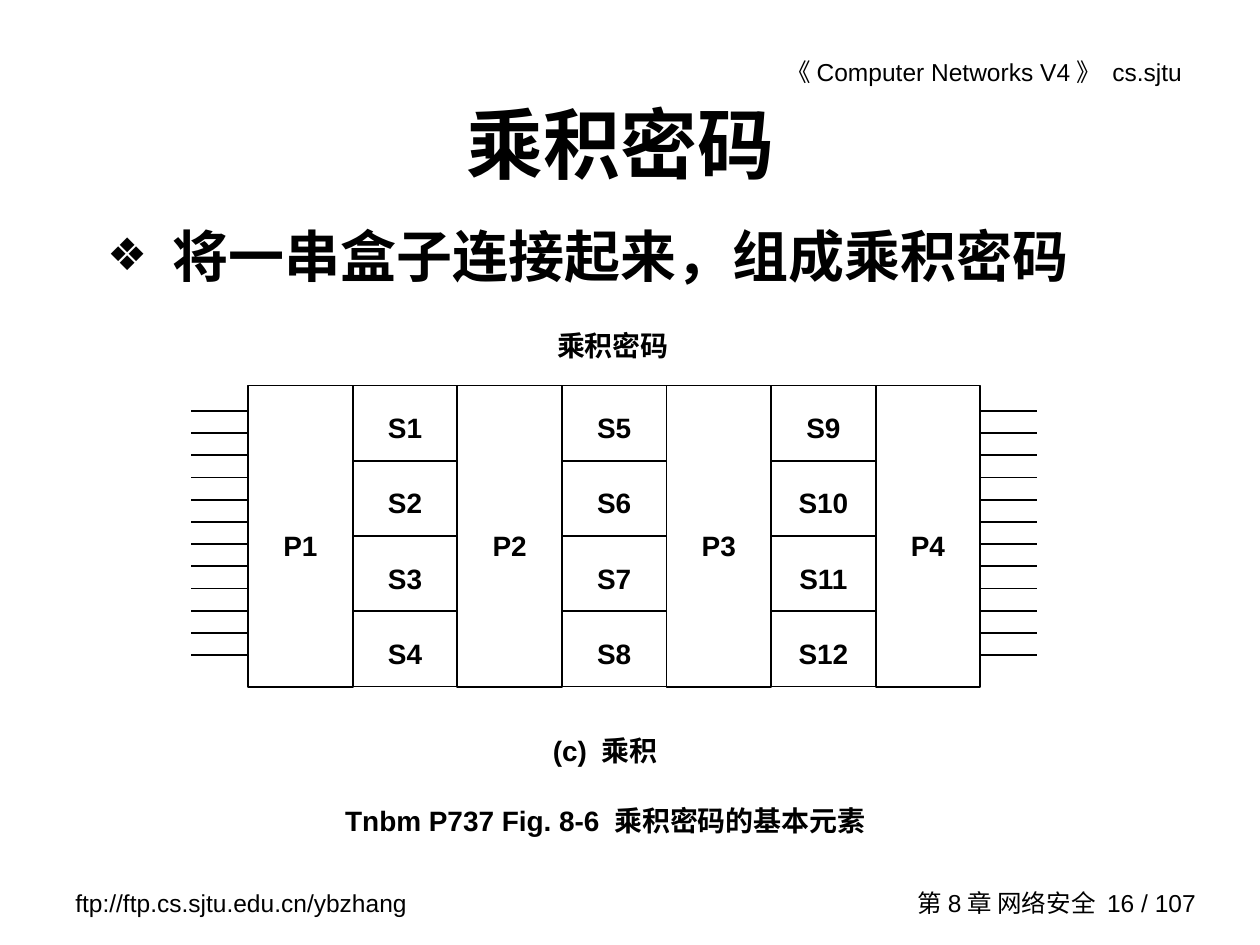
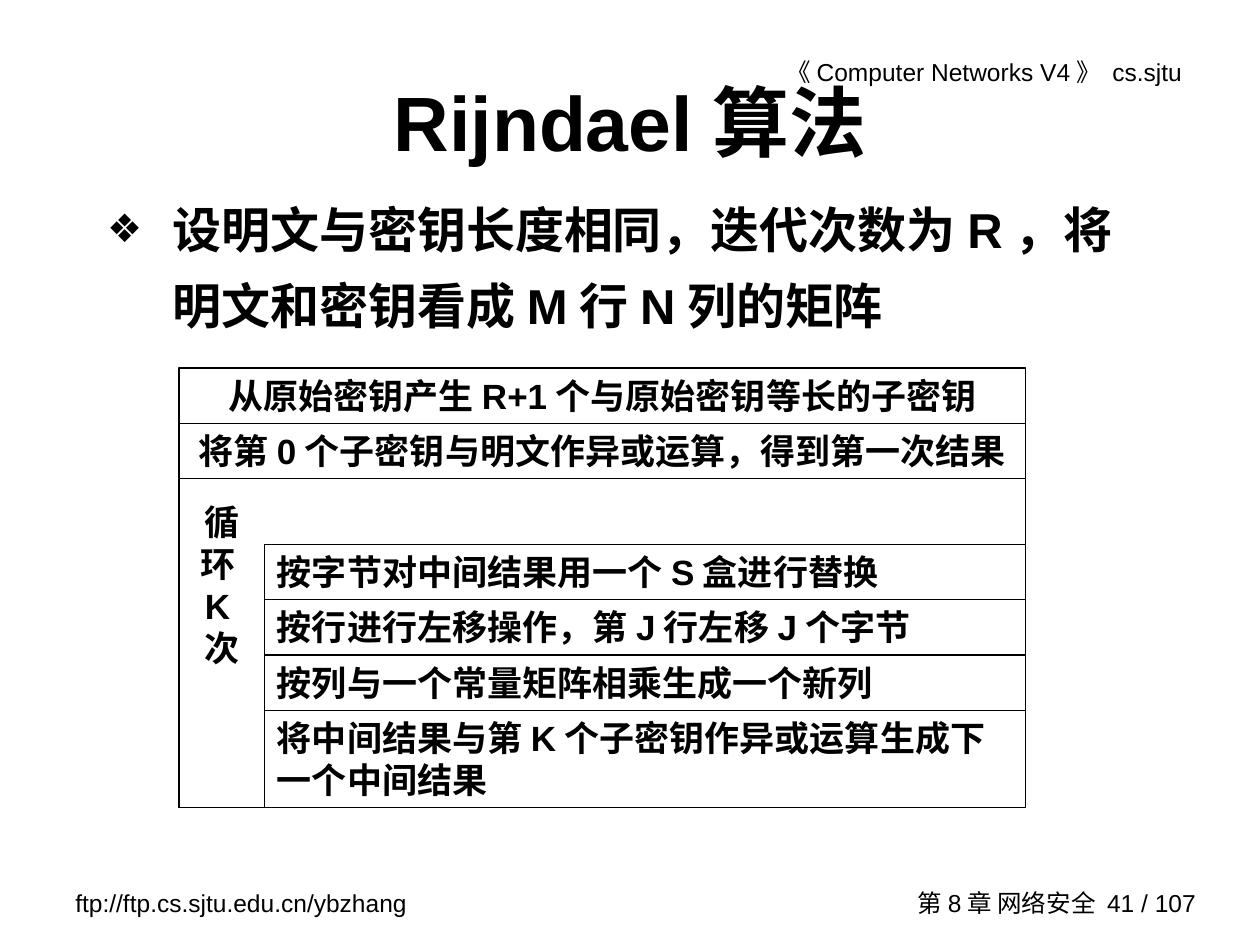
from lxml.etree import SubElement
from pptx import Presentation
from pptx.dml.color import RGBColor
from pptx.enum.shapes import MSO_CONNECTOR, MSO_SHAPE
from pptx.enum.text import MSO_ANCHOR as Anchor, MSO_AUTO_SIZE as AutoSize, PP_ALIGN as Align
from pptx.oxml.ns import qn
from pptx.util import Inches, Pt

# Content
HEADER = "《Computer Networks V4》 cs.sjtu"
SITE = "ftp://ftp.cs.sjtu.edu.cn/ybzhang"
CHAPTER = "第8章 网络安全"
PAGE_TOTAL = 107

PRODUCT = {
    "page": 16,
    "title": "乘积密码",
    "title_box": (0.68, 0.67, 8.5, 0.92),
    "title_font": "Noto Sans CJK SC",
    "point": "将一串盒子连接起来，组成乘积密码",
    "point_box": (0.75, 1.71, 8.5, 0.71),
    "point_size": 32,
    "point_spacing": 1.0,
}
CIPHER_COLUMNS = [
    ["P1"], ["S1", "S2", "S3", "S4"],
    ["P2"], ["S5", "S6", "S7", "S8"],
    ["P3"], ["S9", "S10", "S11", "S12"],
    ["P4"],
]
DIAGRAM_TITLE = "乘积密码"
DIAGRAM_PART = "(c) 乘积"
FIGURE_CAPTION = "Tnbm P737 Fig. 8-6 乘积密码的基本元素"

RIJNDAEL = {
    "page": 41,
    "title": "Rijndael算法",
    "title_box": (0.75, 0.33, 8.5, 1.25),
    "title_font": "Arial",
    "point": "设明文与密钥长度相同，迭代次数为R，将明文和密钥看成M行N列的矩阵",
    "point_box": (0.75, 1.39, 8.5, 1.52),
    "point_size": 28,
    "point_spacing": 1.3,
}
SETUP_STEPS = [
    "从原始密钥产生R+1个与原始密钥等长的子密钥",
    "将第0个子密钥与明文作异或运算，得到第一次结果",
]
LOOP_LABEL = "循环K次"
LOOP_STEPS = [  # text, height
    ("按字节对中间结果用一个S盒进行替换", 0.44),
    ("按行进行左移操作，第J行左移J个字节", 0.44),
    ("按列与一个常量矩阵相乘生成一个新列", 0.44),
    ("将中间结果与第K个子密钥作异或运算生成下一个中间结果", 0.77),
]

# Shared format
INK = "000000"
LATIN = "Arial"
CJK = "Noto Sans CJK SC"
SMALL = {"size": 14, "bold": False}
LABEL = {"size": 16, "bold": True}
STEP = {"size": 20, "bold": True}


def color(hex_value):
    return RGBColor.from_string(hex_value)


def place(shape, box):
    for side, length in zip(("left", "top", "width", "height"), box):
        setattr(shape, side, Inches(length))


def write(shape, text, size, bold, font=LATIN, align=Align.LEFT,
          anchor=Anchor.TOP, spacing=1.0, insets=(0.1, 0.05)):
    """Fill a shape with one formatted paragraph and return the paragraph."""
    across, down = (Inches(inset) for inset in insets)
    frame = shape.text_frame
    frame_format = {
        "word_wrap": True, "auto_size": AutoSize.NONE, "vertical_anchor": anchor,
        "margin_left": across, "margin_right": across,
        "margin_top": down, "margin_bottom": down,
    }
    for name, value in frame_format.items():
        setattr(frame, name, value)
    paragraph = frame.paragraphs[0]
    paragraph_format = {"alignment": align, "line_spacing": spacing, "space_before": Pt(0)}
    for name, value in paragraph_format.items():
        setattr(paragraph, name, value)
    run = paragraph.add_run()
    run.text = text
    for name, value in {"size": Pt(size), "bold": bold, "name": font}.items():
        setattr(run.font, name, value)
    run.font.color.rgb = color(INK)
    latin = run.font._element.find(qn("a:latin"))
    east_asian = latin.makeelement(qn("a:ea"), {"typeface": CJK})
    latin.addnext(east_asian)
    return paragraph


def add_text(slide, box, text, **text_format):
    write(slide.shapes.add_textbox(*map(Inches, box)), text, **text_format)


def add_cell(slide, box, text, line_width, **text_format):
    cell = slide.shapes.add_shape(MSO_SHAPE.RECTANGLE, *map(Inches, box))
    cell.shadow.inherit = False
    cell.fill.background()
    cell.line.color.rgb = color(INK)
    cell.line.width = Pt(line_width)
    write(cell, text, **text_format)


def add_line(slide, start, end, width):
    line = slide.shapes.add_connector(MSO_CONNECTOR.STRAIGHT, *map(Inches, start + end))
    line.line.color.rgb = color(INK)
    line.line.width = Pt(width)
    SubElement(line._element.spPr, qn("a:effectLst"))


def add_bullet(paragraph):
    properties = paragraph._p.get_or_add_pPr()
    properties.set("marL", str(Inches(0.52)))
    properties.set("indent", str(-Inches(0.52)))
    bullet_color = SubElement(properties, qn("a:buClr"))
    SubElement(bullet_color, qn("a:srgbClr"), val=INK)
    SubElement(properties, qn("a:buSzPct"), val="80000")
    SubElement(properties, qn("a:buChar"), char="❖")


def start_slide(deck, topic):
    """Add a slide with its title, main point, header and footers."""
    slide = deck.slides.add_slide(deck.slide_layouts[1])
    title, point = slide.placeholders
    place(title, topic["title_box"])
    write(title, topic["title"], 44, True, font=topic["title_font"],
          align=Align.CENTER, anchor=Anchor.MIDDLE)
    place(point, topic["point_box"])
    add_bullet(write(point, topic["point"], topic["point_size"], True,
                     spacing=topic["point_spacing"]))
    add_text(slide, (5.12, 0.4, 4.36, 0.34), HEADER, align=Align.RIGHT, **SMALL)
    add_text(slide, (0.5, 7, 3, 0.34), SITE, **SMALL)
    add_text(slide, (7.18, 7, 2.41, 0.33), f"{CHAPTER} {topic['page']} / {PAGE_TOTAL}",
             align=Align.RIGHT, anchor=Anchor.MIDDLE, **SMALL)
    return slide


def build_product(deck):
    slide = start_slide(deck, PRODUCT)
    left, top, column_width, height = 1.97, 3.06, 0.83, 2.39

    # Permutation and substitution boxes
    for column, names in enumerate(CIPHER_COLUMNS):
        cell_height = height / len(names)
        anchor = Anchor.MIDDLE if len(names) == 1 else Anchor.TOP
        for row, name in enumerate(names):
            box = (left + column * column_width, top + row * cell_height,
                   column_width, cell_height)
            add_cell(slide, box, name, 1, align=Align.CENTER, anchor=anchor,
                     spacing=1.56, **LABEL)

    # Input and output wires
    wire_count, wire_length, first_wire, last_wire = 12, 0.45, 3.26, 5.2
    wire_gap = (last_wire - first_wire) / (wire_count - 1)
    right = left + len(CIPHER_COLUMNS) * column_width
    for wire in range(wire_count):
        y = first_wire + wire * wire_gap
        for x in (left - wire_length, right):
            add_line(slide, (x, y), (x + wire_length, y), 1)

    # Captions
    add_text(slide, (4.35, 2.53, 1.03, 0.48), DIAGRAM_TITLE, font="Times New Roman",
             align=Align.CENTER, insets=(0.02, 0.08), **LABEL)
    add_text(slide, (4.29, 5.77, 1.2, 0.37), DIAGRAM_PART, **LABEL)
    add_text(slide, (2.47, 6.33, 4.67, 0.26), FIGURE_CAPTION, align=Align.CENTER,
             insets=(0.02, 0.05), **LABEL)


def build_rijndael(deck):
    slide = start_slide(deck, RIJNDAEL)
    left, loop_left, right = 1.42, 2.1, 8.14
    top, row_height, loop_top = 2.92, 0.44, 4.32
    line_width = 0.75

    # Steps before the loop
    for row, step in enumerate(SETUP_STEPS):
        add_cell(slide, (left, top + row * row_height, right - left, row_height),
                 step, line_width, align=Align.CENTER, **STEP)

    # Steps inside the loop
    y = loop_top
    for step, step_height in LOOP_STEPS:
        add_cell(slide, (loop_left, y, right - loop_left, step_height),
                 step, line_width, **STEP)
        y += step_height

    # Loop label and frame
    add_text(slide, (left, 3.92, loop_left - left, 1.44), LOOP_LABEL,
             align=Align.CENTER, **STEP)
    frame_top = top + len(SETUP_STEPS) * row_height
    for start, end in [
        ((left, frame_top), (left, y)),
        ((loop_left, y), (left, y)),
        ((right, frame_top), (right, loop_top)),
    ]:
        add_line(slide, start, end, line_width)


def main():
    deck = Presentation()
    deck.slide_width, deck.slide_height = Inches(10), Inches(7.5)
    build_product(deck)
    build_rijndael(deck)
    deck.save("out.pptx")


if __name__ == "__main__":
    main()
